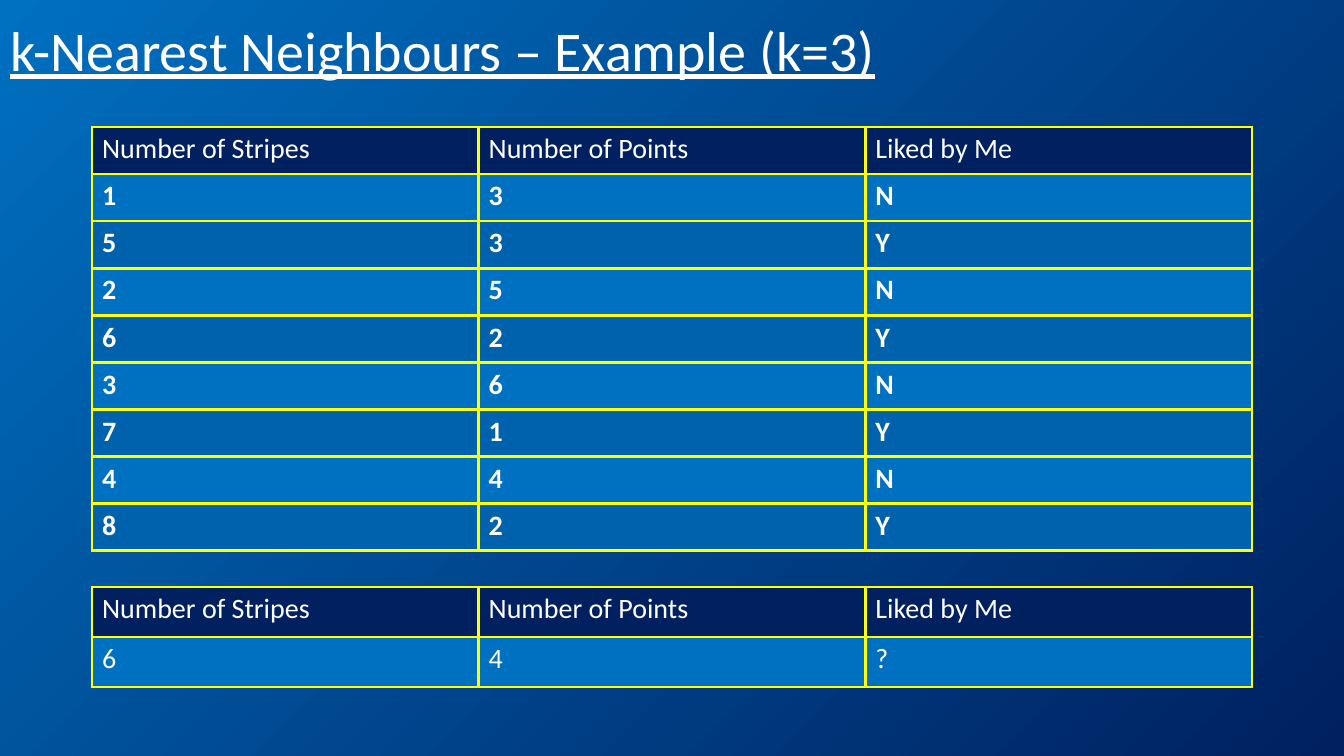
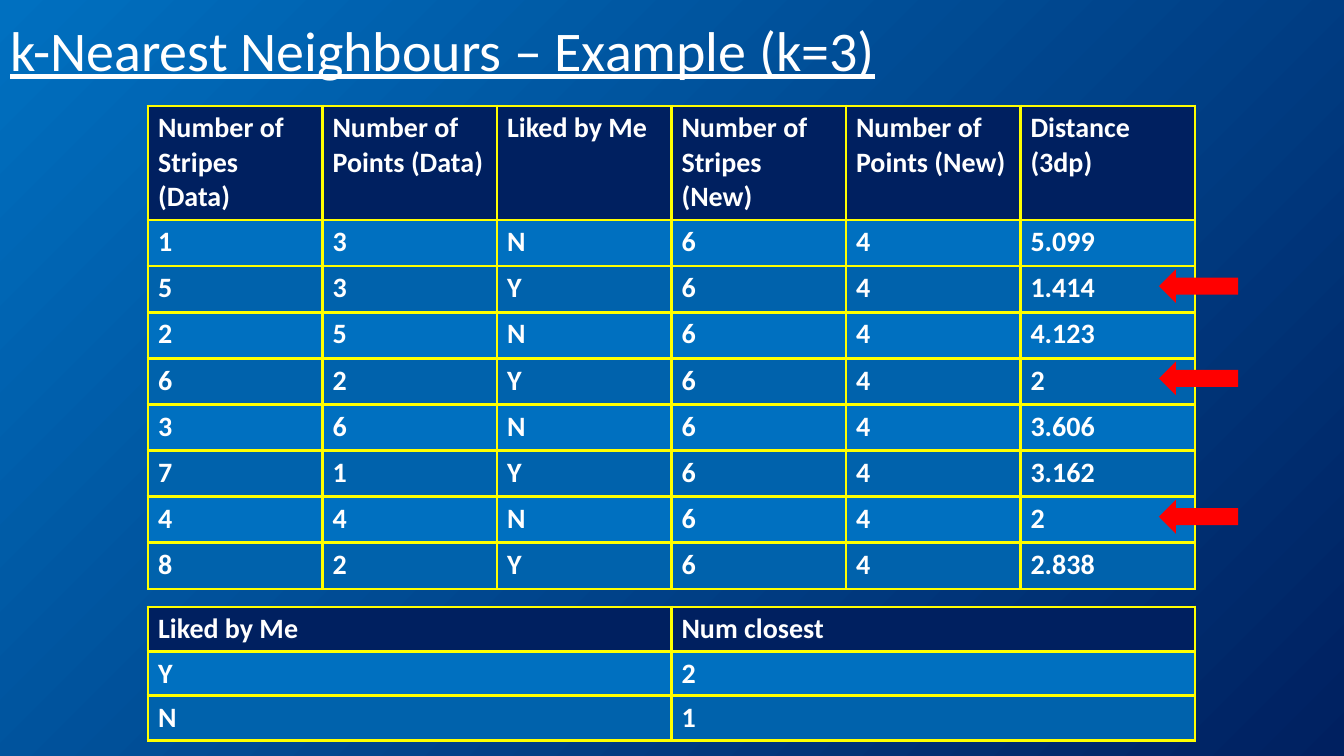
from dataclasses import dataclass

import lxml.etree
import pptx
import pptx.dml.color
import pptx.enum.shapes
import pptx.enum.text
import pptx.oxml.ns
import pptx.util

EMU_PER_PX = 914400 / 100.8
TITLE = "k-Nearest Neighbours – Example (k=3)"
K = 3

# Stripes, points, liked by me
DATA = [
    ("1", "3", "N"),
    ("5", "3", "Y"),
    ("2", "5", "N"),
    ("6", "2", "Y"),
    ("3", "6", "N"),
    ("7", "1", "Y"),
    ("4", "4", "N"),
    ("8", "2", "Y"),
]
HEADINGS = ("Number of Stripes", "Number of Points", "Liked by Me")
NEW_ITEM = ("6", "4")
DISTANCES = ("5.099", "1.414", "4.123", "2", "3.606", "3.162", "2", "2.838")


@dataclass(frozen=True)
class Theme:
    font: str = "Calibri"
    text: str = "FFFFFF"
    header: str = "002060"
    bands: tuple = ("0070C0", "0062AC")
    border: str = "FFFF00"
    arrow: str = "FF0000"
    gradient: tuple = ("0070C0", "002060")
    title_size: int = 40
    table_size: int = 20
    border_width: float = 2.25


def px(length):
    return pptx.util.Emu(round(length * EMU_PER_PX))


def rgb(value):
    return pptx.dml.color.RGBColor.from_string(value)


class Deck:
    """Holds the style, the presentation and the current slide."""

    def __init__(self, theme):
        self.theme = theme
        self.prs = pptx.Presentation()
        self.prs.slide_width, self.prs.slide_height = px(1344), px(756)
        self.s = None
        fill = self.prs.slide_master.background.fill
        fill.gradient()
        fill.gradient_angle = 315  # counter-clockwise: top left to bottom right
        for stop, color in zip(fill.gradient_stops, theme.gradient):
            stop.color.rgb = rgb(color)

    def run(self, p, text, size, bold=False, underline=False):
        r = p.add_run()
        r.text = text
        r.font.name = self.theme.font
        r.font.size = pptx.util.Pt(size)
        r.font.bold = bold
        r.font.underline = underline
        r.font.color.rgb = rgb(self.theme.text)

    def slide(self, title):
        self.s = self.prs.slides.add_slide(self.prs.slide_layouts[5])
        sp = self.s.shapes.title
        sp.left, sp.top, sp.width, sp.height = px(0), px(0), px(1159), px(106)
        tf = sp.text_frame
        tf.auto_size = pptx.enum.text.MSO_AUTO_SIZE.NONE
        tf.vertical_anchor = pptx.enum.text.MSO_ANCHOR.MIDDLE
        p = tf.paragraphs[0]
        p.alignment = pptx.enum.text.PP_ALIGN.LEFT
        p.line_spacing = 0.9
        self.run(p, title, self.theme.title_size, underline=True)

    def borders(self, cell):
        qn = pptx.oxml.ns.qn
        tc_pr = cell._tc.get_or_add_tcPr()
        width = str(int(pptx.util.Pt(self.theme.border_width)))
        for side in "LRTB":
            ln = lxml.etree.SubElement(tc_pr, qn(f"a:ln{side}"), w=width)
            fill = lxml.etree.SubElement(ln, qn("a:solidFill"))
            lxml.etree.SubElement(fill, qn("a:srgbClr"), val=self.theme.border)

    def table(self, x, y, w, header_h, body_h, rows, bold_header=True, bold_body=True):
        """Draw rows, the first as header; body_h is shared by the others."""
        n_rows, n_cols = len(rows), len(rows[0])
        table = self.s.shapes.add_table(
            n_rows, n_cols, px(x), px(y), px(w), px(header_h + body_h)
        ).table
        table.horz_banding = False
        for column in table.columns:
            column.width = px(w / n_cols)
        for i, values in enumerate(rows):
            is_header = i == 0
            table.rows[i].height = px(header_h if is_header else body_h / (n_rows - 1))
            color = self.theme.header if is_header else self.theme.bands[(i - 1) % 2]
            for j, value in enumerate(values):
                cell = table.cell(i, j)
                self.borders(cell)
                cell.fill.solid()
                cell.fill.fore_color.rgb = rgb(color)
                self.run(cell.text_frame.paragraphs[0], value, self.theme.table_size,
                         bold=bold_header if is_header else bold_body)

    def left_arrow(self, x, y, w, h):
        sp = self.s.shapes.add_shape(
            pptx.enum.shapes.MSO_SHAPE.LEFT_ARROW, px(x), px(y), px(w), px(h)
        )
        sp.shadow.inherit = False
        sp.fill.solid()
        sp.fill.fore_color.rgb = rgb(self.theme.arrow)
        sp.line.fill.background()


def data_slide(deck):
    deck.slide(TITLE)
    deck.table(92, 127, 1160, 47, 377, [HEADINGS, *DATA], bold_header=False)
    deck.table(92, 587, 1160, 50, 50, [HEADINGS, (*NEW_ITEM, "?")],
               bold_header=False, bold_body=False)


def distance_slide(deck):
    deck.slide(TITLE)
    stripes, points, liked = HEADINGS
    headings = (f"{stripes} (Data)", f"{points} (Data)", liked,
                f"{stripes} (New)", f"{points} (New)", "Distance (3dp)")
    rows = [(*item, *NEW_ITEM, d) for item, d in zip(DATA, DISTANCES)]
    x, y, w, header_h, body_h = 148, 106, 1047, 114, 369
    deck.table(x, y, w, header_h, body_h, [headings, *rows])

    nearest = sorted(range(len(rows)), key=lambda i: float(DISTANCES[i]))[:K]
    row_h = body_h / len(rows)
    for i in sorted(nearest):
        deck.left_arrow(1159, y + header_h + i * row_h + 3, 79, 34)

    votes = [DATA[i][2] for i in nearest]
    counts = [(answer, str(votes.count(answer))) for answer in "YN"]
    deck.table(x, 607, w, 44, 88, [(liked, "Num closest"), *counts])


def main():
    deck = Deck(Theme())
    data_slide(deck)
    distance_slide(deck)
    deck.prs.save("out.pptx")


if __name__ == "__main__":
    main()
